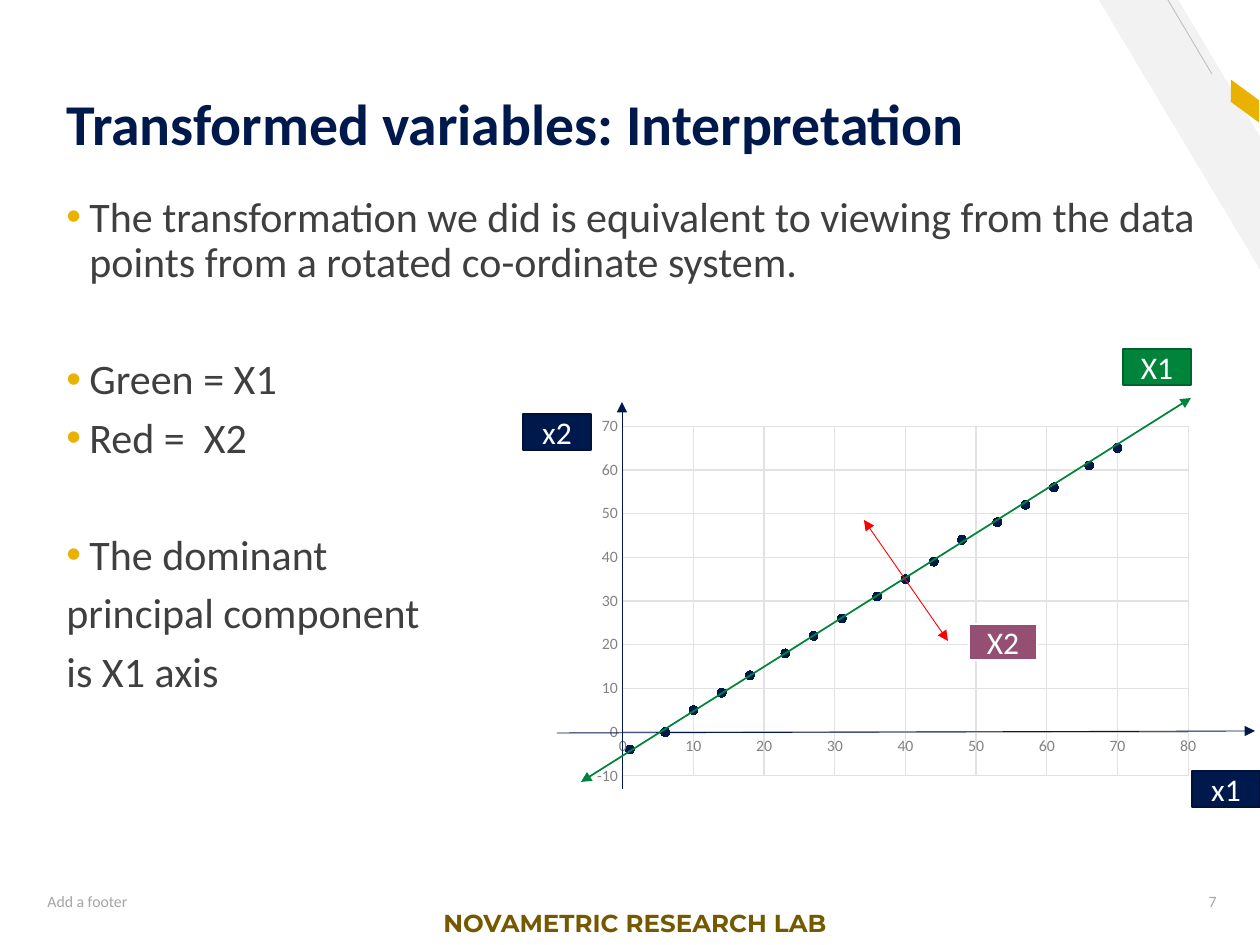
from lxml import etree
from pptx import Presentation
from pptx.chart.data import XyChartData
from pptx.dml.color import RGBColor
from pptx.enum.chart import XL_CHART_TYPE as ChartType, XL_MARKER_STYLE as Marker, XL_TICK_MARK as Tick
from pptx.enum.shapes import MSO_CONNECTOR as Connector, MSO_SHAPE as Shape
from pptx.enum.text import MSO_ANCHOR as Anchor, MSO_AUTO_SIZE as AutoSize, PP_ALIGN as Align
from pptx.oxml import parse_xml
from pptx.oxml.ns import qn
from pptx.util import Emu, Pt

THEME = dict(
    font="Calibri", brand_font="Montserrat",
    navy="00194C", navy_edge="001238", green="00843B", green_edge="00622C",
    red="FF0000", plum="954F72", white="FFFFFF", gold="EAB200", brand="755900",
    body="3F3F3F", muted="A5A5A5", label="828282", axis="CFCFCF", grid="E2E2E2",
    stripe="F2F2F2", hairline="BFBFBF",
    title_size=33, body_size=24, tag_size=18, brand_size=14, small_size=9,
)
PIXEL = 914400 // 126
TITLE = ("Transformed variables: Interpretation", (54, 29, 1099, 129))
BODY_AREA = (54, 190, 1158, 662)
BODY = [
    ("The transformation we did is equivalent to viewing from the data points "
     "from a rotated co-ordinate system.", True, 7.5),
    ("Green = X1", True, 41),
    ("Red =  X2", True, 7.5),
    ("The dominant", True, 41),
    ("principal component", False, 7.5),
    ("is X1 axis", False, 7.5),
]
LABELS = [
    ("NOVAMETRIC RESEARCH LAB", (431, 902, 425, 43), "brand_font", "brand_size", "brand", True, Align.LEFT),
    ("Add a footer", (35, 876, 426, 50), "font", "small_size", "muted", False, Align.LEFT),
    ("7", (1152, 876, 77, 50), "font", "small_size", "muted", False, Align.RIGHT),
]
AXIS_TAGS = [
    ("x1", (1192, 771), "navy", "navy_edge", 1),
    ("x2", (523, 414), "navy", "navy_edge", 1),
]
COMPONENT_TAGS = [
    ("X1", (1123, 349), "green", "green_edge", 1),
    ("X2", (969, 624), "plum", "white", 1.5),
]
TAG_SIZE = (68, 36)
CHART_AREA = (562, 415, 647, 449)
PLOT = dict(x=0.094, y=0.025, w=0.874, h=0.779)
X_VALUES = [1, 6, 10, 14, 18, 23, 27, 31, 36, 40, 44, 48, 53, 57, 61, 66, 70]
Y_VALUES = [-4, 0, 5, 9, 13, 18, 22, 26, 31, 35, 39, 44, 48, 52, 56, 61, 65]
ARROWS = [
    ((622, 789), (622, 402), "navy", 0.5, ("tailEnd",)),
    ((557, 733), (1255, 731), "navy", 0.5, ("tailEnd",)),
    ((581, 782), (1191, 398), "green", 1, ("headEnd", "tailEnd")),
    ((864, 520), (948, 641), "red", 0.5, ("headEnd", "tailEnd")),
]


def px(*values):
    return [Emu(value * PIXEL) for value in values]


def color(name):
    return RGBColor.from_string(THEME[name])


def style_font(font, size, shade, family="font", bold=False):
    font.name, font.size, font.bold = THEME[family], Pt(THEME[size]), bold
    font.color.rgb = color(shade)


def style_line(line, shade, width):
    line.color.rgb, line.width = color(shade), Pt(width)


def add_block(kind, area, fill):
    block = page.shapes.add_shape(kind, *px(*area))
    block.shadow.inherit = False
    block.fill.solid()
    block.fill.fore_color.rgb = color(fill)
    block.line.fill.background()
    return block


def add_line(start, end, shade, width, ends=()):
    line = page.shapes.add_connector(Connector.STRAIGHT, *px(*start, *end))
    style_line(line.line, shade, width)
    for end_name in ends:
        etree.SubElement(line.line._get_or_add_ln(), qn("a:" + end_name), type="triangle")
    etree.SubElement(line._element.spPr, qn("a:effectLst"))


def add_decoration():
    stripe = add_block(Shape.DIAGONAL_STRIPE, (1099, 0, 162, 271), "stripe")
    stripe.adjustments[0] = 0.51
    add_line((1212, 74), (1168, 0), "hairline", 0.5)
    accent = add_block(Shape.PARALLELOGRAM, (1221, 92, 48, 18), "gold")
    accent.adjustments[0] = 0.72
    accent.rotation = 36.3
    for block in (stripe, accent):
        block._element.spPr.find(qn("a:xfrm")).set("flipH", "1")


def add_label(text, area, family, size, shade, bold, align):
    box = page.shapes.add_textbox(*px(*area))
    frame = box.text_frame
    frame.word_wrap = True
    frame.text = text
    if family == "font":
        frame.vertical_anchor = Anchor.MIDDLE
    para = frame.paragraphs[0]
    para.alignment = align
    style_font(para.runs[0].font, size, shade, family, bold)


def add_title(text, area):
    title = page.shapes.title
    title.left, title.top, title.width, title.height = px(*area)
    frame = title.text_frame
    frame.text = text
    frame.auto_size = AutoSize.NONE
    frame.vertical_anchor = Anchor.BOTTOM
    frame.margin_bottom = 0
    para = frame.paragraphs[0]
    para.alignment, para.line_spacing = Align.LEFT, 0.9
    style_font(para.runs[0].font, "title_size", "navy", bold=True)


def add_body():
    frame = page.shapes.add_textbox(*px(*BODY_AREA)).text_frame
    frame.word_wrap = True
    for index, (text, bulleted, gap) in enumerate(BODY):
        para = frame.add_paragraph() if index else frame.paragraphs[0]
        para.text = text
        para.line_spacing, para.space_before = 0.9, Pt(gap)
        style_font(para.runs[0].font, "body_size", "body")
        if bulleted:
            props = para._p.get_or_add_pPr()
            indent = 23 * PIXEL
            props.set("marL", str(indent))
            props.set("indent", str(-indent))
            shade = etree.SubElement(props, qn("a:buClr"))
            etree.SubElement(shade, qn("a:srgbClr"), val=THEME["gold"])
            etree.SubElement(props, qn("a:buFont"), typeface="Arial")
            etree.SubElement(props, qn("a:buChar"), char="•")


def add_tag(text, corner, fill, edge, width):
    tag = add_block(Shape.RECTANGLE, (*corner, *TAG_SIZE), fill)
    style_line(tag.line, edge, width)
    frame = tag.text_frame
    frame.margin_left = frame.margin_right = frame.margin_top = frame.margin_bottom = 0
    frame.vertical_anchor = Anchor.MIDDLE
    frame.text = text
    frame.paragraphs[0].alignment = Align.CENTER
    style_font(frame.paragraphs[0].runs[0].font, "tag_size", "white")


def add_scatter():
    data = XyChartData()
    series_data = data.add_series("Series 1")
    for point in zip(X_VALUES, Y_VALUES):
        series_data.add_data_point(*point)
    chart = page.shapes.add_chart(ChartType.XY_SCATTER, *px(*CHART_AREA), data).chart
    chart.has_legend = chart.has_title = False
    style_font(chart.font, "small_size", "label")
    for axis, low, high in ((chart.category_axis, 0, 80), (chart.value_axis, -10, 70)):
        axis.minimum_scale, axis.maximum_scale, axis.major_unit = low, high, 10
        axis.major_tick_mark = axis.minor_tick_mark = Tick.NONE
        axis.has_major_gridlines = True
        style_line(axis.major_gridlines.format.line, "grid", 0.75)
        style_line(axis.format.line, "axis", 0.75)
        style_font(axis.tick_labels.font, "small_size", "label")
    plot = chart.plots[0]
    plot.vary_by_categories = False
    series = plot.series[0]
    series.smooth = False
    series.format.line.fill.background()
    series.marker.style, series.marker.size = Marker.CIRCLE, 5
    series.marker.format.fill.solid()
    series.marker.format.fill.fore_color.rgb = color("navy")
    style_line(series.marker.format.line, "navy", 0.75)
    area = chart._chartSpace.find(".//" + qn("c:plotArea"))
    for old in area.findall(qn("c:layout")):
        area.remove(old)
    modes = "".join(f'<c:{side}Mode val="edge"/>' for side in "xy")
    sizes = "".join(f'<c:{side} val="{value}"/>' for side, value in PLOT.items())
    area.insert(0, parse_xml(
        '<c:layout xmlns:c="http://schemas.openxmlformats.org/drawingml/2006/chart">'
        f'<c:manualLayout><c:layoutTarget val="inner"/>{modes}{sizes}</c:manualLayout></c:layout>'))


deck = Presentation()
deck.slide_width, deck.slide_height = px(1260, 945)
page = deck.slides.add_slide(deck.slide_layouts[5])
add_decoration()
for label in LABELS:
    add_label(*label)
add_title(*TITLE)
add_body()
for tag in AXIS_TAGS:
    add_tag(*tag)
add_scatter()
for arrow in ARROWS:
    add_line(*arrow)
for tag in COMPONENT_TAGS:
    add_tag(*tag)
deck.save("out.pptx")
